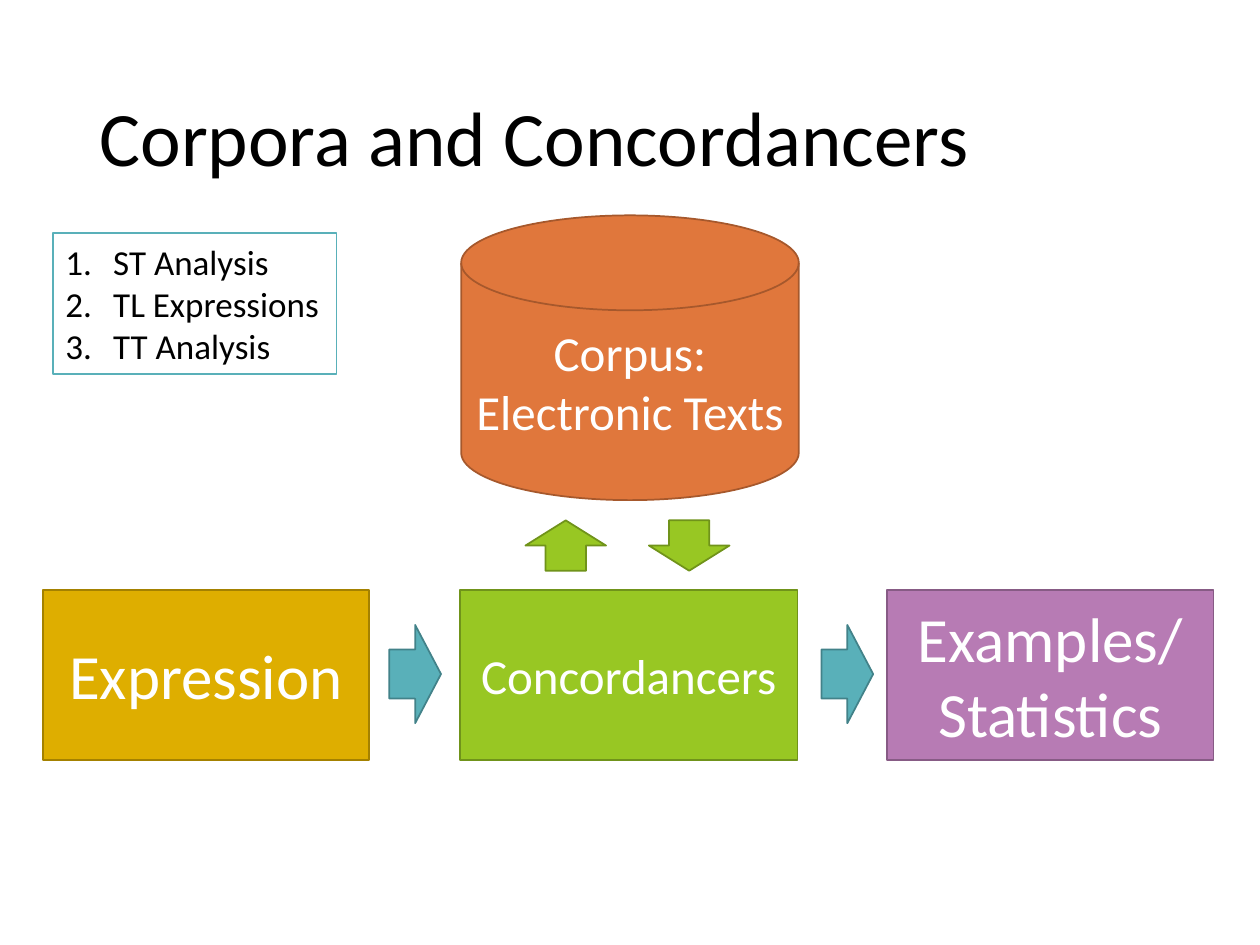
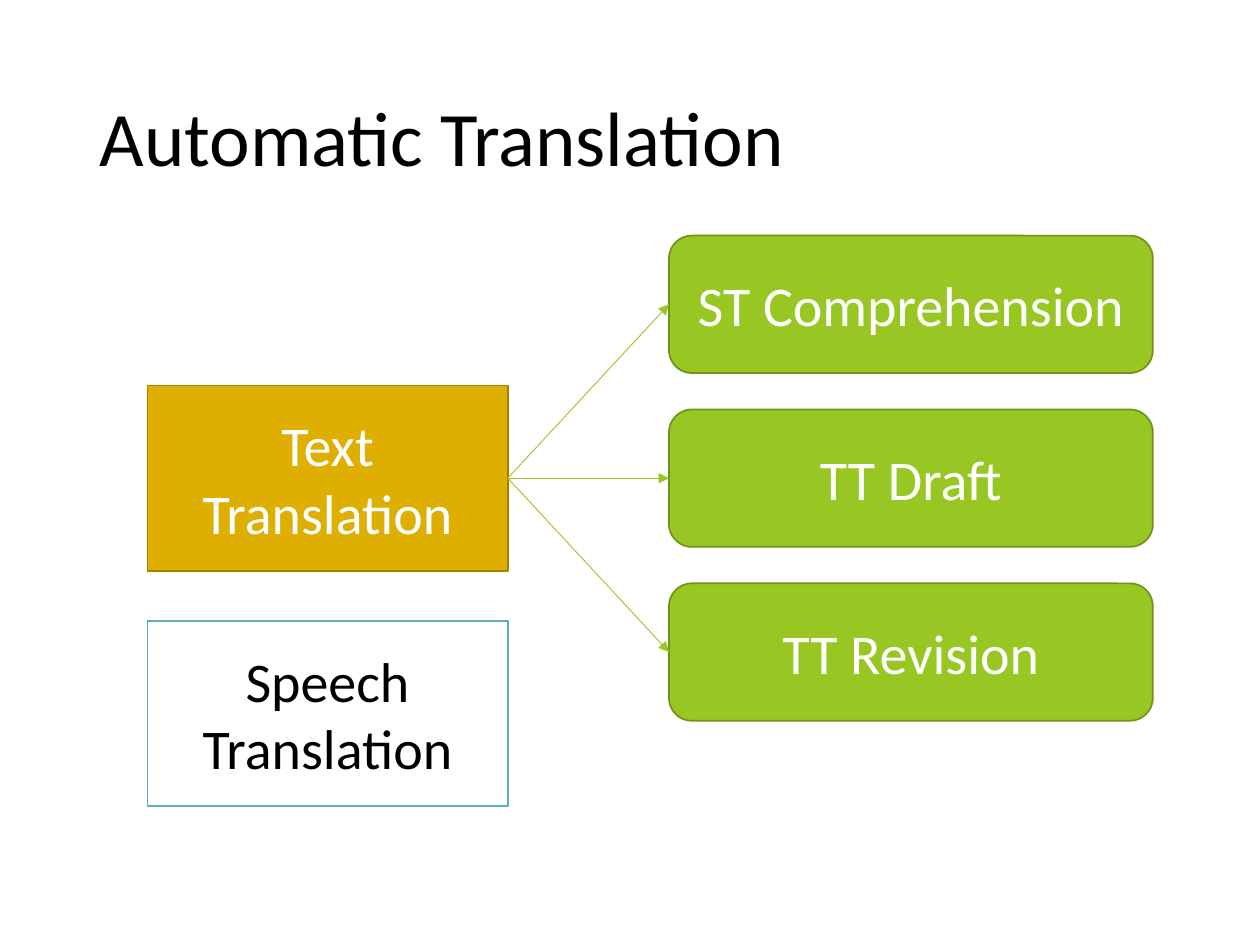
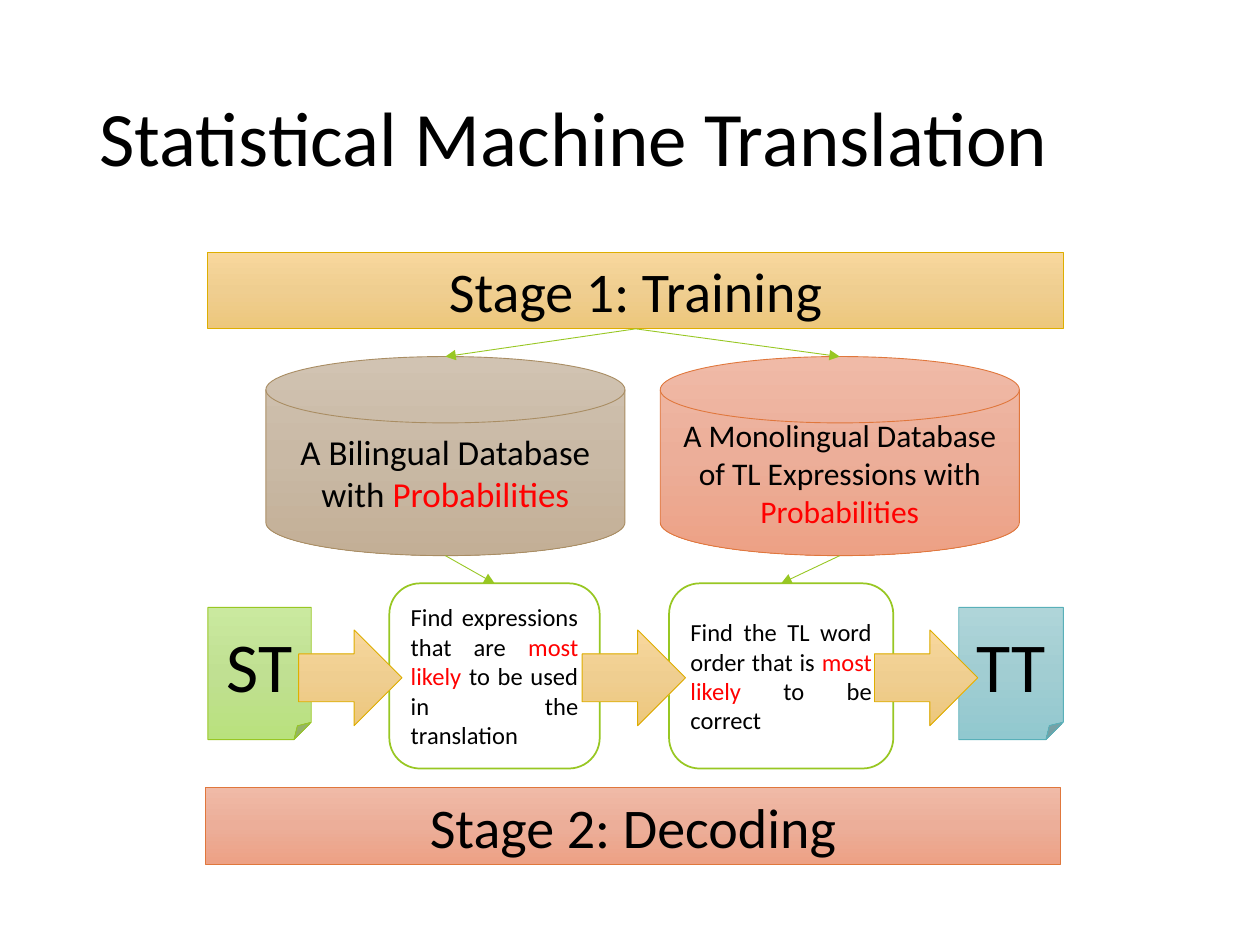
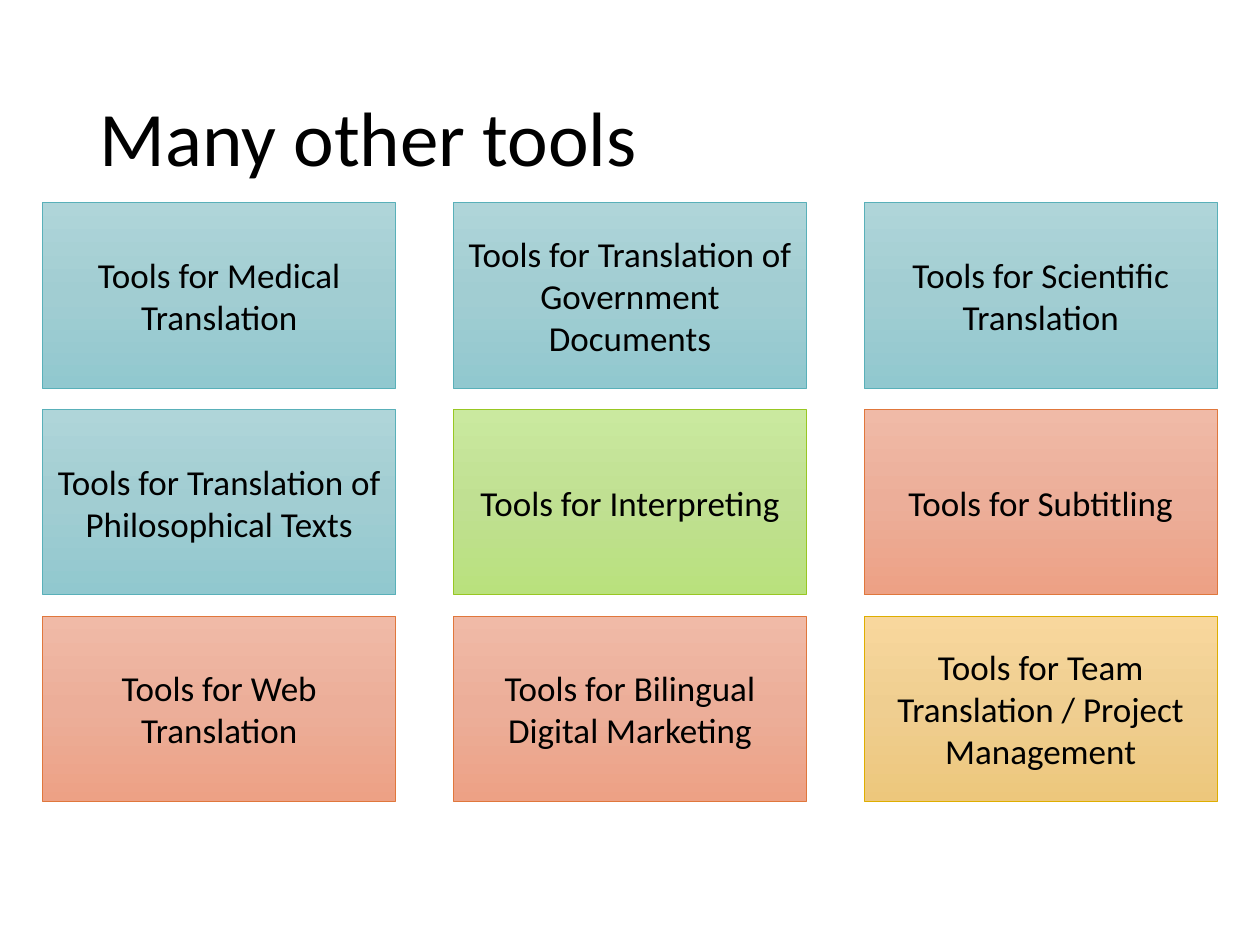
from copy import deepcopy
from dataclasses import dataclass

from lxml.etree import SubElement
from pptx import Presentation
from pptx.dml.color import RGBColor
from pptx.enum.shapes import MSO_CONNECTOR, MSO_SHAPE
from pptx.enum.text import MSO_ANCHOR, MSO_AUTO_SIZE, PP_ALIGN
from pptx.oxml.ns import qn
from pptx.presentation import Presentation as Deck
from pptx.shapes.autoshape import Shape
from pptx.slide import Slide
from pptx.text.text import Font
from pptx.util import Inches, Pt

FONT = "Calibri"
BLACK, WHITE, RED, LIME = "000000", "FFFFFF", "FF0000", "98C723"
TITLE_ONLY = 5


@dataclass(frozen=True)
class Look:
    fill: tuple[str, ...]
    line: str
    line_width: float = 1
    text: str = WHITE


GOLD = Look(("DEAE00",), "A48100")
PURPLE = Look(("B77BB4",), "875B85")
TEAL = Look(("59B0B9",), "428289")
GREEN = Look((LIME,), "70931A")
ORANGE = Look(("E0773C",), "A6582C")
TEAL_OUTLINE = Look((WHITE,), "59B0B9", 1, BLACK)
GREEN_OUTLINE = Look((WHITE,), LIME, 1, BLACK)
SOFT_GREEN = Look(("CAE99F", "C0E092", "B9E17D"), LIME, 0.5, BLACK)
SOFT_TEAL = Look(("AFD5D9", "A1CDD2", "91C8CF"), "59B0B9", 0.5, BLACK)
SOFT_GOLD = Look(("F8D79D", "EFCE90", "EDC77C"), "DEAE00", 0.5, BLACK)
SOFT_ORANGE = Look(("F0BAA7", "ECAE99", "EDA185"), "E0773C", 0.5, BLACK)
SOFT_BROWN = Look(("D1C3B2", "C9B9A5", "C3AF96"), "A98D63", 0.5, BLACK)


@dataclass(frozen=True)
class Box:
    left: float
    top: float
    width: float
    height: float
    look: Look
    text: str = ""
    size: float = 20
    kind: MSO_SHAPE = MSO_SHAPE.RECTANGLE
    align: PP_ALIGN = PP_ALIGN.CENTER
    emphasis: str = ""


def rgb(value: str) -> RGBColor:
    return RGBColor.from_string(value)


def style_font(font: Font, size: float, color: str) -> None:
    font.name = FONT
    font.size = Pt(size)
    font.color.rgb = rgb(color)


def paint(shape: Shape, look: Look) -> None:
    shape.shadow.inherit = False
    shape.line.color.rgb = rgb(look.line)
    shape.line.width = Pt(look.line_width)
    if len(look.fill) == 1:
        shape.fill.solid()
        shape.fill.fore_color.rgb = rgb(look.fill[0])
        return
    shape.fill.gradient()
    shape.fill.gradient_angle = 270
    stop_list = shape._element.spPr.find(".//" + qn("a:gsLst"))
    stop_list.insert(1, deepcopy(stop_list[0]))
    for index, (stop, color) in enumerate(zip(shape.fill.gradient_stops, look.fill)):
        stop.position = index / 2
        stop.color.rgb = rgb(color)


def write(shape: Shape, box: Box) -> None:
    frame = shape.text_frame
    frame.word_wrap = True
    frame.vertical_anchor = MSO_ANCHOR.MIDDLE
    if box.emphasis:
        before, strong, after = box.text.partition(box.emphasis)
        paragraph = frame.paragraphs[0]
        paragraph.text = before
        for part in filter(None, (strong, after)):
            paragraph.add_run().text = part
    else:
        frame.text = box.text
    for paragraph in frame.paragraphs:
        paragraph.alignment = box.align
        for run in paragraph.runs:
            strong = box.emphasis and run.text == box.emphasis
            style_font(run.font, box.size, RED if strong else box.look.text)


def draw(slide: Slide, box: Box) -> Shape:
    place = map(Inches, (box.left, box.top, box.width, box.height))
    shape = slide.shapes.add_shape(box.kind, *place)
    paint(shape, box.look)
    if box.text:
        write(shape, box)
    return shape


def number_paragraphs(shape: Shape) -> None:
    for paragraph in shape.text_frame.paragraphs:
        properties = paragraph._p.get_or_add_pPr()
        properties.set("marL", str(Inches(0.38)))
        properties.set("indent", str(-Inches(0.38)))
        SubElement(properties, qn("a:buFont")).set("typeface", FONT)
        SubElement(properties, qn("a:buAutoNum")).set("type", "arabicPeriod")


def side(shape: Shape, across: float, down: float) -> tuple[int, int]:
    return (int(shape.left + shape.width * across), int(shape.top + shape.height * down))


def top(shape: Shape) -> tuple[int, int]:
    return side(shape, 0.5, 0)


def bottom(shape: Shape) -> tuple[int, int]:
    return side(shape, 0.5, 1)


def draw_arrow(slide: Slide, start: tuple[int, int], end: tuple[int, int]) -> None:
    arrow = slide.shapes.add_connector(MSO_CONNECTOR.STRAIGHT, *start, *end)
    arrow.line.color.rgb = rgb(LIME)
    arrow.line.width = Pt(0.5)
    SubElement(arrow.line._get_or_add_ln(), qn("a:tailEnd")).set("type", "triangle")
    SubElement(arrow._element.spPr, qn("a:effectLst"))


def add_titled_slide(deck: Deck, heading: str) -> Slide:
    slide = deck.slides.add_slide(deck.slide_layouts[TITLE_ONLY])
    title = slide.shapes.title
    title.left, title.top = Inches(0.69), Inches(0.4)
    title.width, title.height = Inches(8.62), Inches(1.45)
    frame = title.text_frame
    frame.text = heading
    frame.word_wrap = True
    frame.auto_size = MSO_AUTO_SIZE.NONE
    frame.vertical_anchor = MSO_ANCHOR.MIDDLE
    paragraph = frame.paragraphs[0]
    paragraph.alignment = PP_ALIGN.LEFT
    paragraph.line_spacing = 0.9
    style_font(paragraph.runs[0].font, 44, BLACK)
    return slide


def add_corpora(deck: Deck) -> None:
    slide = add_titled_slide(deck, "Corpora and Concordancers")
    draw(slide, Box(3.66, 1.71, 2.68, 2.26, ORANGE, "Corpus: Electronic Texts", 28,
                    MSO_SHAPE.FLOWCHART_MAGNETIC_DISK))
    draw(slide, Box(0.34, 4.68, 2.59, 1.35, GOLD, "Expression", 36))
    draw(slide, Box(7.04, 4.68, 2.59, 1.35, PURPLE, "Examples/\nStatistics", 36))
    for left in (6.52, 3.09):
        draw(slide, Box(left, 4.96, 0.41, 0.78, TEAL, kind=MSO_SHAPE.RIGHT_ARROW))
    draw(slide, Box(3.65, 4.68, 2.68, 1.35, GREEN, "Concordancers", 28))
    for left, rotation in ((4.17, 180), (5.15, 0)):
        exchange = draw(slide, Box(left, 4.13, 0.64, 0.4, GREEN, kind=MSO_SHAPE.DOWN_ARROW))
        exchange.rotation = rotation
    uses = draw(slide, Box(0.42, 1.85, 2.25, 1.12, TEAL_OUTLINE,
                           "ST Analysis\nTL Expressions\nTT Analysis", align=PP_ALIGN.LEFT))
    number_paragraphs(uses)


def add_automatic_translation(deck: Deck) -> None:
    slide = add_titled_slide(deck, "Automatic Translation")
    text_translation = draw(slide, Box(1.17, 3.06, 2.86, 1.47, GOLD, "Text Translation", 32))
    draw(slide, Box(1.17, 4.93, 2.86, 1.47, TEAL_OUTLINE, "Speech Translation", 32))
    tasks = [
        draw(slide, Box(5.31, 1.87 + 1.38 * row, 3.84, 1.09, GREEN, task, 32,
                        MSO_SHAPE.ROUNDED_RECTANGLE))
        for row, task in enumerate(("ST Comprehension", "TT Draft", "TT Revision"))
    ]
    for task in tasks:
        draw_arrow(slide, side(text_translation, 1, 0.5), side(task, 0, 0.5))


def add_statistical_translation(deck: Deck) -> None:
    slide = add_titled_slide(deck, "Statistical Machine Translation")
    draw(slide, Box(1.65, 4.82, 0.82, 1.05, SOFT_GREEN, "ST", 40, MSO_SHAPE.FOLDED_CORNER))
    draw(slide, Box(7.61, 4.82, 0.83, 1.05, SOFT_TEAL, "TT", 40, MSO_SHAPE.FOLDED_CORNER))
    expressions, word_order = [
        draw(slide, Box(left, 4.63, width, 1.47, GREEN_OUTLINE, step, 14,
                        MSO_SHAPE.ROUNDED_RECTANGLE, PP_ALIGN.JUSTIFY, "most likely"))
        for left, width, step in (
            (3.09, 1.67, "Find expressions that are most likely to be used in the translation"),
            (5.31, 1.78, "Find the TL word order that is most likely to be correct"),
        )
    ]
    for left in (6.94, 4.62, 2.37):
        draw(slide, Box(left, 5, 0.82, 0.76, SOFT_GOLD, kind=MSO_SHAPE.RIGHT_ARROW))
    draw(slide, Box(1.63, 6.25, 6.79, 0.61, SOFT_ORANGE, "Stage 2: Decoding", 32))
    training = draw(slide, Box(1.65, 2, 6.79, 0.61, SOFT_GOLD, "Stage 1: Training", 32))
    bilingual, monolingual = [
        draw(slide, Box(left, 2.83, 2.85, 1.58, look, database, size,
                        MSO_SHAPE.FLOWCHART_MAGNETIC_DISK, emphasis="Probabilities"))
        for left, look, size, database in (
            (2.11, SOFT_BROWN, 20, "A Bilingual Database with Probabilities"),
            (5.24, SOFT_ORANGE, 18,
             "A Monolingual Database of TL Expressions with Probabilities"),
        )
    ]
    for database, step in ((monolingual, word_order), (bilingual, expressions)):
        draw_arrow(slide, bottom(training), top(database))
        draw_arrow(slide, bottom(database), top(step))


def add_other_tools(deck: Deck) -> None:
    slide = add_titled_slide(deck, "Many other tools")
    tools = (
        ("Medical Translation", SOFT_TEAL),
        ("Translation of Government Documents", SOFT_TEAL),
        ("Scientific Translation", SOFT_TEAL),
        ("Translation of Philosophical Texts", SOFT_TEAL),
        ("Interpreting", SOFT_GREEN),
        ("Subtitling", SOFT_ORANGE),
        ("Web Translation", SOFT_ORANGE),
        ("Bilingual Digital Marketing", SOFT_ORANGE),
        ("Team Translation / Project Management", SOFT_GOLD),
    )
    for index, (purpose, look) in enumerate(tools):
        row, column = divmod(index, 3)
        draw(slide, Box(0.34 + 3.26 * column, 1.61 + 1.64 * row, 2.8, 1.47, look,
                        f"Tools for {purpose}"))


def main() -> None:
    deck = Presentation()
    deck.slide_width, deck.slide_height = Inches(10), Inches(7.5)
    add_corpora(deck)
    add_automatic_translation(deck)
    add_statistical_translation(deck)
    add_other_tools(deck)
    deck.save("out.pptx")


if __name__ == "__main__":
    main()
